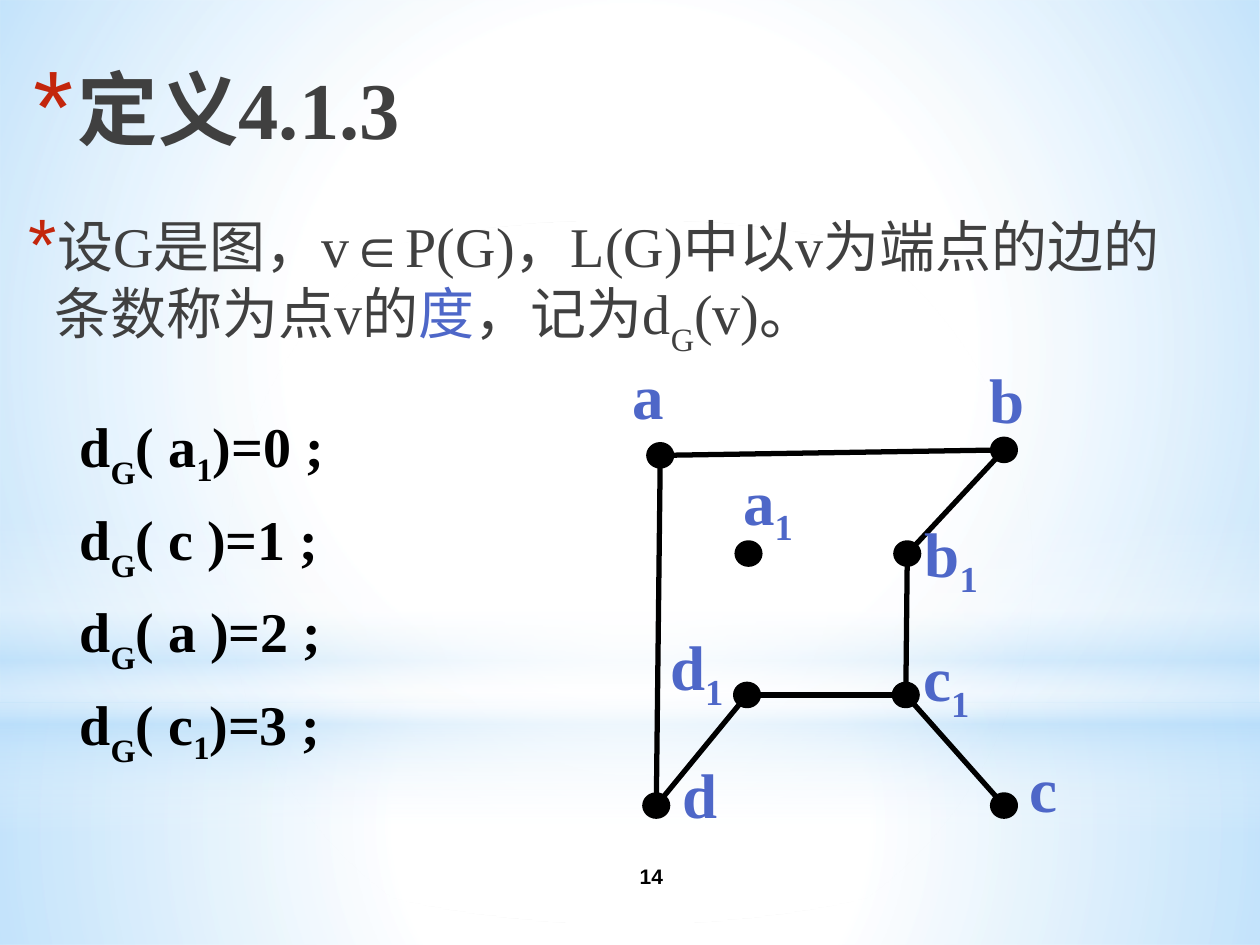
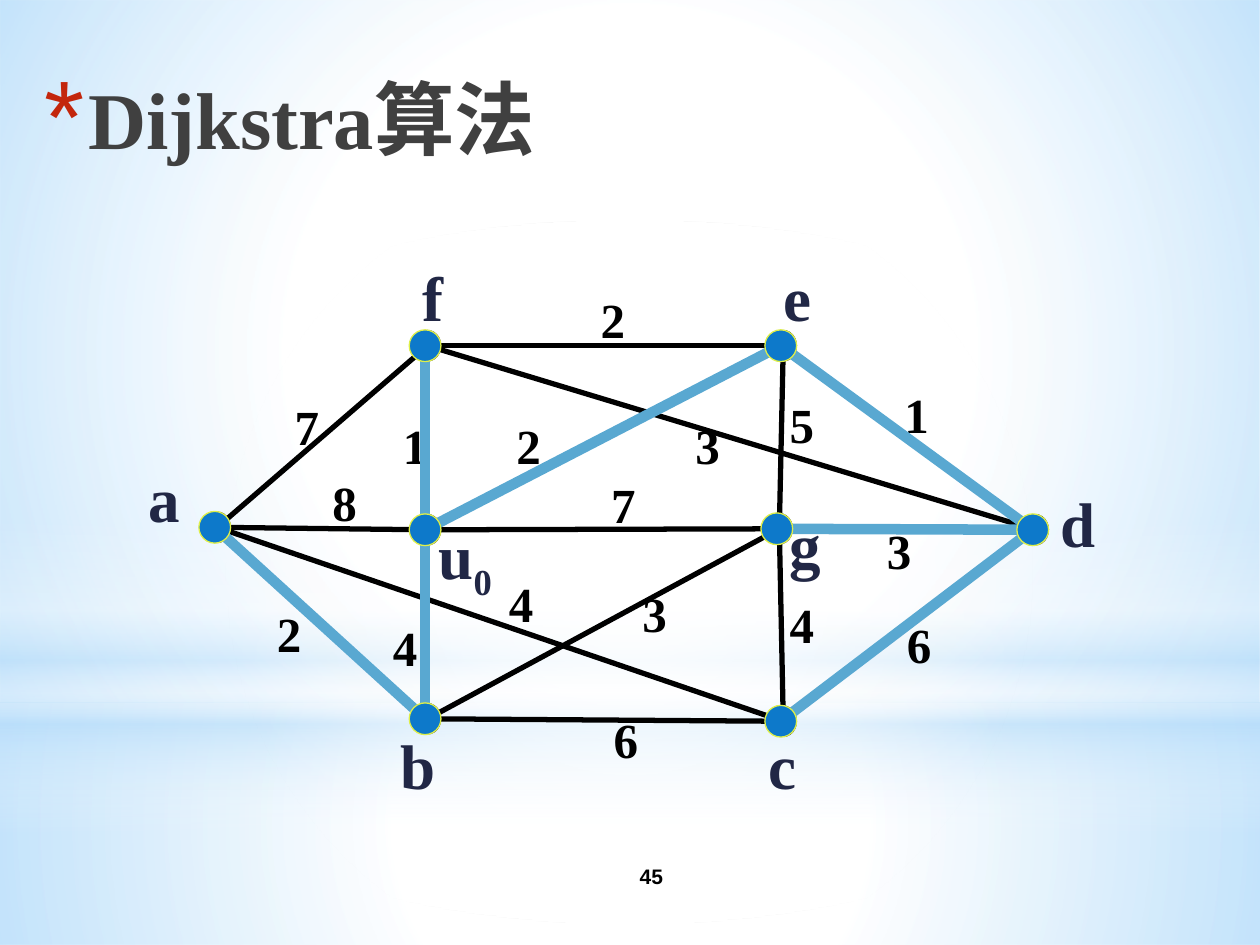
from math import hypot

from lxml import etree
from pptx import Presentation
from pptx import util as u
from pptx.dml.color import RGBColor
from pptx.enum import shapes, text
from pptx.oxml import ns

COLORS = {
    "black": "000000", "white": "FFFFFF", "sky": "B4DCFA", "gray": "404040",
    "bullet": "C3260C", "indigo": "4E67C8", "navy": "212745",
    "path": "59A8D1", "node": "0D79CA", "rim": "DFEF49",
}
SERIF, SANS = "Times New Roman", "Arial"
WIDTH, HEIGHT = 25.4, 19.05

# Background: shape, box in cm, gradient stops (position, colour, opacity), radial or not
BACKGROUND = [
    ("RECTANGLE", (0, 14.17, WIDTH, 4.88),
     [(0, "white", 91), (37, "white", 76), (100, "sky", 79)], True),
    ("RECTANGLE", (0, 0, WIDTH, 14.17),
     [(0, "white", 89), (48, "white", 62), (100, "sky", 79)], True),
    ("RECTANGLE", (0, 10.46, WIDTH, 6.35),
     [(0, "white", 0), (29, "white", 30), (45, "sky", 40),
      (55, "white", 26), (65, "sky", 60), (100, "white", 0)], False),
    ("OVAL", (0, 4.45, WIDTH, 14.17), [(0, "white", 100), (56, "white", 0)], True),
]

# Definition of degree; a run is a string or (string, its own format)
SUB_G = ("G", {"baseline": -30})
SUB_1 = ("1", {"baseline": -25})
DEFINITION = ["设G是图，v∈P(G)，L(G)中以v为端点的边的条数称为点v的",
              ("度", {"color": "indigo"}), "，记为d", SUB_G, "(v)。"]
DEGREES = [
    ["d", SUB_G, "( a", SUB_1, ")=0 ;"],
    ["d", SUB_G, "( c )=1 ;"],
    ["d", SUB_G, "( a )=2 ;"],
    ["d", SUB_G, "( c", SUB_1, ")=3 ;"],
]

# Vertices: name -> (centre, top left of its label), in cm
DEGREE_VERTICES = {
    "a": ((13.31, 9.18), (12.5, 7.06)),
    "b": ((20.24, 9.07), (19.69, 7.14)),
    "c": ((20.24, 16.24), (20.5, 14.99)),
    "d": ((13.23, 16.24), (13.51, 15.11)),
    "a1": ((15.09, 11.16), (14.73, 9.19)),
    "b1": ((18.29, 11.16), (18.39, 10.24)),
    "c1": ((18.26, 14.01), (18.36, 12.75)),
    "d1": ((15.06, 14.01), (13.26, 12.52)),
}
DEGREE_EDGES = [("d1", "d"), ("b1", "c1"), ("d1", "c1"), ("a", "b"),
                ("a", "d"), ("b1", "b"), ("c1", "c")]

ROUTE_VERTICES = {
    "a": ((4.33, 10.63), (2.74, 9.14)),
    "b": ((8.57, 14.49), (7.82, 14.53)),
    "c": ((15.74, 14.54), (15.24, 14.53)),
    "d": ((20.82, 10.68), (21.13, 9.65)),
    "e": ((15.74, 6.97), (15.54, 5.08)),
    "f": ((8.57, 6.97), (8.26, 5.08)),
    "g": ((15.66, 10.66), (15.67, 10.06)),
    "u0": ((8.57, 10.68), (8.59, 10.29)),
}
# Edges: start, end, weight, top left of the weight
ROUTE_EDGES = [
    ("a", "f", "7", (5.69, 7.87)), ("b", "c", "6", (12.12, 14.17)),
    ("a", "b", "2", (5.33, 12.04)), ("a", "u0", "8", (6.45, 9.4)),
    ("f", "u0", "1", (7.87, 8.26)), ("u0", "b", "4", (7.67, 12.32)),
    ("a", "c", "4", (10.01, 11.43)), ("b", "g", "3", (12.7, 11.63)),
    ("g", "c", "4", (15.67, 11.86)), ("u0", "g", "7", (12.07, 9.45)),
    ("u0", "e", "2", (10.16, 8.26)), ("f", "d", "3", (13.77, 8.26)),
    ("e", "g", "5", (15.67, 7.82)), ("c", "d", "6", (18.03, 12.27)),
    ("g", "d", "3", (17.63, 10.36)), ("f", "e", "2", (11.86, 5.71)),
    ("e", "d", "1", (17.98, 7.62)),
]
SHORTEST_PATHS = [("f", "u0"), ("e", "u0"), ("e", "d"), ("u0", "b"),
                  ("a", "b"), ("d", "g"), ("c", "d")]

# Letter widths in em, for label boxes
LETTER_EM = {"b": 0.56, "d": 0.56, "u": 0.56, "c": 0.44, "e": 0.44, "f": 0.33}


def rgb(name):
    return RGBColor.from_string(COLORS[name])


def child(parent, tag, **attributes):
    values = {key: str(value) for key, value in attributes.items()}
    return etree.SubElement(parent, ns.qn(tag), values)


def add_bullet(paragraph, margin, hanging, percent):
    properties = paragraph._p.get_or_add_pPr()
    properties.set("marL", str(u.Cm(margin)))
    properties.set("indent", str(-u.Cm(hanging)))
    child(child(properties, "a:buClr"), "a:srgbClr", val=COLORS["bullet"])
    child(properties, "a:buSzPct", val=percent * 1000)
    child(properties, "a:buFont", typeface=SANS)
    child(properties, "a:buChar", char="*")


def add_text(slide, paragraphs, box, size=32, color="black", font=SERIF, bold=True,
             wrap=True, anchor="TOP", align="LEFT", before=0, bullet=None):
    frame = slide.shapes.add_textbox(*map(u.Cm, box)).text_frame
    frame.word_wrap = wrap
    frame.vertical_anchor = text.MSO_ANCHOR[anchor]
    for index, runs in enumerate(paragraphs):
        paragraph = frame.add_paragraph() if index else frame.paragraphs[0]
        paragraph.alignment = text.PP_ALIGN[align]
        if index and before:
            paragraph.space_before = u.Pt(before)
        if bullet:
            add_bullet(paragraph, *bullet)
        for item in runs:
            words, own = (item, {}) if isinstance(item, str) else item
            run = paragraph.add_run()
            run.text = words
            run.font.name, run.font.size, run.font.bold = font, u.Pt(size), bold
            run.font.color.rgb = rgb(own.get("color", color))
            if "baseline" in own:
                run._r.get_or_add_rPr().set("baseline", str(own["baseline"] * 1000))


def add_gradient(shape, stops, radial):
    shape.fill.background()
    old_fill = shape._element.spPr.find(ns.qn("a:noFill"))
    gradient = etree.Element(ns.qn("a:gradFill"), rotWithShape="1")
    stop_list = child(gradient, "a:gsLst")
    for position, color, opacity in stops:
        stop = child(stop_list, "a:gs", pos=position * 1000)
        child(child(stop, "a:srgbClr", val=COLORS[color]), "a:alpha", val=opacity * 1000)
    if radial:
        center = child(gradient, "a:path", path="circle")
        child(center, "a:fillToRect", l=50000, t=50000, r=50000, b=50000)
    else:
        child(gradient, "a:lin", ang=5400000, scaled=0)
    shape._element.spPr.replace(old_fill, gradient)


def add_shape(slide, kind, box):
    shape = slide.shapes.add_shape(shapes.MSO_SHAPE[kind], *map(u.Cm, box))
    shape.shadow.inherit = False
    return shape


def add_vertex(slide, center, size, fill="black", line="black", line_width=0.75):
    (x, y), (width, height) = center, size
    dot = add_shape(slide, "OVAL", (x - width / 2, y - height / 2, width, height))
    dot.fill.solid()
    dot.fill.fore_color.rgb = rgb(fill)
    dot.line.color.rgb = rgb(line)
    dot.line.width = u.Pt(line_width)


def add_edge(slide, start, end, color="black", width=3, trim=0):
    """Join two centres, leaving `trim` cm free at each end."""
    (x1, y1), (x2, y2) = start, end
    share = trim / hypot(x2 - x1, y2 - y1)
    dx, dy = (x2 - x1) * share, (y2 - y1) * share
    ends = (x1 + dx, y1 + dy, x2 - dx, y2 - dy)
    edge = slide.shapes.add_connector(shapes.MSO_CONNECTOR.STRAIGHT, *map(u.Cm, ends))
    edge.line.color.rgb = rgb(color)
    edge.line.width = u.Pt(width)
    child(edge._element.spPr, "a:effectLst")


def add_vertex_labels(slide, vertices, color):
    for name, (_, corner) in vertices.items():
        letter, index = name[0], name[1:]
        width = 0.51 + 1.27 * LETTER_EM.get(letter, 0.5) + 0.43 * len(index)
        runs = [letter] + ([(index, {"baseline": -25})] if index else [])
        add_text(slide, [runs], (*corner, width, 1.78), size=36, color=color, wrap=False)


def add_base_slide(presentation, title, corner, number):
    slide = presentation.slides.add_slide(presentation.slide_layouts[6])
    for kind, box, stops, radial in BACKGROUND:
        shape = add_shape(slide, kind, box)
        shape.line.fill.background()
        add_gradient(shape, stops, radial)
    add_text(slide, [[number]], (10.59, 17.15, 5.08, 1.02), size=12, font=SANS,
             anchor="MIDDLE", align="CENTER")
    add_text(slide, [[title]], (*corner, 22, 2.11), size=46, color="gray",
             bullet=(0.89, 0.89, 128))
    return slide


def build_degree_slide(presentation):
    slide = add_base_slide(presentation, "定义4.1.3", (0.43, 1.07), "14")
    add_text(slide, [DEFINITION], (0.2, 4.14, 24.33, 3.81), color="gray", bold=False,
             bullet=(0.64, 0.51, 130))
    centers = {name: center for name, (center, _) in DEGREE_VERTICES.items()}
    for start, end in DEGREE_EDGES:
        add_edge(slide, centers[start], centers[end])
    for center in centers.values():
        add_vertex(slide, center, (0.46, 0.43), line_width=3)
    add_vertex_labels(slide, DEGREE_VERTICES, "indigo")
    add_text(slide, DEGREES, (1.35, 8.18, 10.16, 8.47), before=7.5)


def build_route_slide(presentation):
    slide = add_base_slide(presentation, "Dijkstra算法", (0.64, 1.27), "45")
    centers = {name: center for name, (center, _) in ROUTE_VERTICES.items()}
    # Weighted graph, a touch to the right of the coloured layer
    under = {name: (x + 0.05, y) for name, (x, y) in centers.items()}
    for start, end, _, _ in ROUTE_EDGES:
        add_edge(slide, under[start], under[end])
    for center in under.values():
        add_vertex(slide, center, (0.53, 0.61))
    add_vertex_labels(slide, ROUTE_VERTICES, "navy")
    for _, _, weight, corner in ROUTE_EDGES:
        add_text(slide, [[weight]], (*corner, 1.02, 1.45), size=28, wrap=False)
    # Shortest paths
    for start, end in SHORTEST_PATHS:
        add_edge(slide, centers[start], centers[end], color="path", width=6, trim=0.3)
    for center in centers.values():
        add_vertex(slide, center, (0.64, 0.64), fill="node", line="rim")


def main():
    presentation = Presentation()
    presentation.slide_width, presentation.slide_height = u.Cm(WIDTH), u.Cm(HEIGHT)
    build_degree_slide(presentation)
    build_route_slide(presentation)
    presentation.save("out.pptx")


if __name__ == "__main__":
    main()
